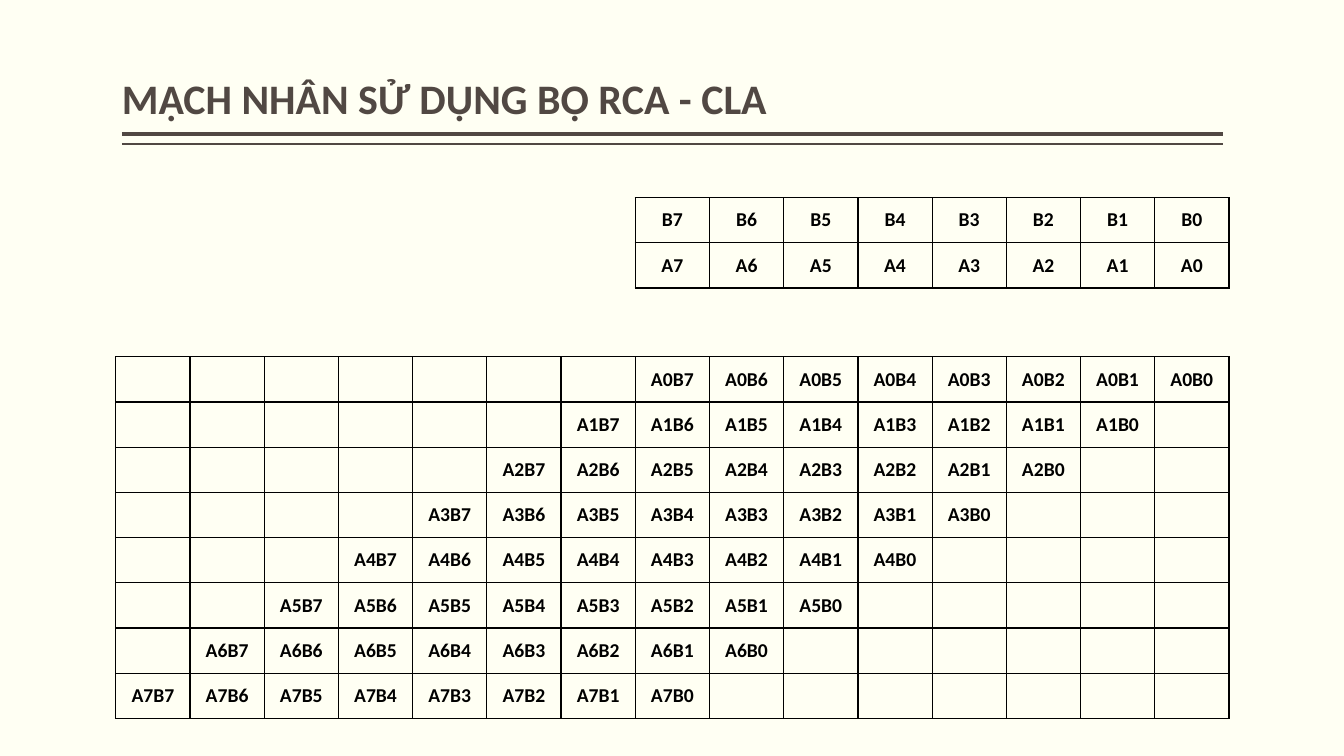
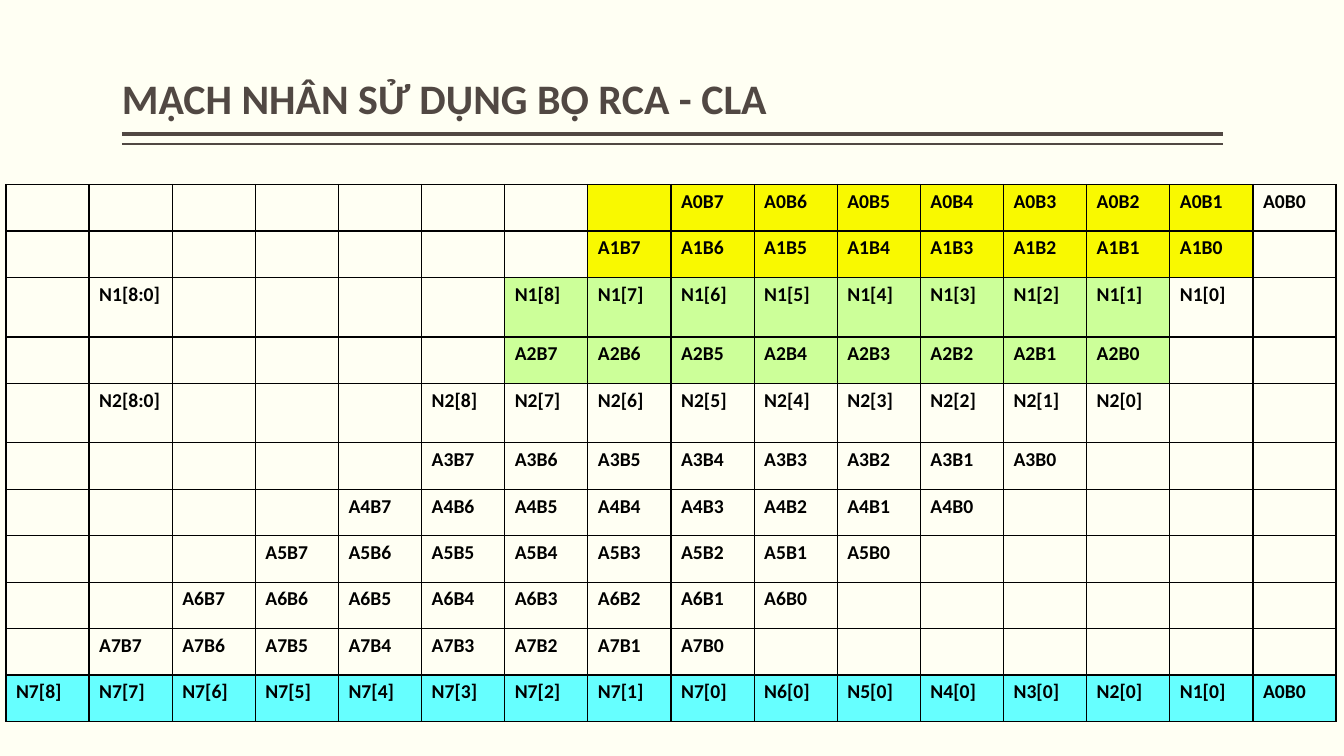
"""Build two slides on an array multiplier made of adder rows."""
from dataclasses import dataclass

from lxml.etree import SubElement
from pptx import Presentation
from pptx.dml.color import RGBColor
from pptx.enum.shapes import MSO_CONNECTOR
from pptx.enum.text import MSO_ANCHOR, MSO_AUTO_SIZE, PP_ALIGN
from pptx.oxml.ns import qn
from pptx.util import Cm, Pt


@dataclass(frozen=True)
class Theme:
    """Colours, font and type sizes of the deck."""
    paper: str = "FFFFF3"
    brown: str = "514843"
    ink: str = "000000"
    yellow: str = "F9F900"
    green: str = "CCFF99"
    cyan: str = "66FFFF"
    font: str = "Calibri"
    title: int = 30
    cell: int = 14
    border: int = 1


class Deck:
    """Holds the theme, the file and the current slide."""

    def __init__(self, theme):
        """Start a wide deck on tinted paper."""
        self.theme = theme
        self.show = Presentation()
        self.show.slide_width, self.show.slide_height = Cm(33.87), Cm(19.05)
        self.fill(self.show.slide_master.background.fill, theme.paper)
        self.slide = None

    def fill(self, fill, color):
        """Make a fill solid."""
        fill.solid()
        fill.fore_color.rgb = RGBColor.from_string(color)

    def type(self, para, size, color):
        """Set the bold deck font on a paragraph."""
        font = para.font
        font.name, font.size, font.bold = self.theme.font, Pt(size), True
        font.color.rgb = RGBColor.from_string(color)

    def page(self, text):
        """Add a slide with its double rule and title."""
        self.slide = self.show.slides.add_slide(self.show.slide_layouts[5])
        self.rule(3.38, 3)
        self.rule(3.63, 1)
        self.title(text)

    def rule(self, top, width):
        """Draw a level line under the title."""
        line = self.slide.shapes.add_connector(
            MSO_CONNECTOR.STRAIGHT, Cm(3.07), Cm(top), Cm(30.81), Cm(top))
        line.line.width = Pt(width)
        line.line.color.rgb = RGBColor.from_string(self.theme.brown)
        SubElement(line._element.spPr, qn("a:effectLst"))

    def title(self, text):
        """Place and fill the title."""
        box = self.slide.shapes.title
        box.left, box.top = Cm(3.07), Cm(0.2)
        box.width, box.height = Cm(27.74), Cm(3.05)
        frame = box.text_frame
        frame.text = text
        frame.word_wrap = True
        frame.auto_size = MSO_AUTO_SIZE.NONE
        frame.vertical_anchor = MSO_ANCHOR.BOTTOM
        frame.margin_left = frame.margin_right = 0
        para = frame.paragraphs[0]
        para.alignment, para.line_spacing = PP_ALIGN.LEFT, 0.9
        self.type(para, self.theme.title, self.theme.brown)

    def grid(self, data, left, top, width, highs,
             align=PP_ALIGN.LEFT, anchor=MSO_ANCHOR.TOP):
        """Add a ruled table with equal columns."""
        count = len(data[0])
        table = self.slide.shapes.add_table(
            len(data), count, Cm(left), Cm(top), Cm(width), Cm(sum(highs))).table
        table.first_row = table.horz_banding = False
        for col in table.columns:
            col.width = Cm(width / count)
        for row, high, texts in zip(table.rows, highs, data):
            row.height = Cm(high)
            for cell, text in zip(row.cells, texts):
                cell.text = text
                cell.vertical_anchor = anchor
                para = cell.text_frame.paragraphs[0]
                para.alignment = align
                self.type(para, self.theme.cell, self.theme.ink)
                self.frame(cell)
                cell.fill.background()
        return table

    def frame(self, cell):
        """Line all four sides of a cell."""
        props = cell._tc.get_or_add_tcPr()
        for side in ("lnL", "lnR", "lnT", "lnB"):
            line = SubElement(props, qn(f"a:{side}"), w=str(Pt(self.theme.border)))
            solid = SubElement(line, qn("a:solidFill"))
            SubElement(solid, qn("a:srgbClr"), val=self.theme.ink)

    def paint(self, table, rows, cols, color):
        """Colour a block of cells."""
        for row in rows:
            for col in cols:
                self.fill(table.cell(row, col).fill, color)


def terms(row):
    """List the partial products of one row."""
    return [f"A{row}B{bit}" for bit in range(7, -1, -1)]


def sums(row):
    """List the sum bits of one adder."""
    return [f"N{row}[{bit}]" for bit in range(8, -1, -1)]


def shift(texts, count, step):
    """Pad a row to count cells, with step blanks at its right."""
    return [""] * (count - len(texts) - step) + texts + [""] * step


def tagged(row):
    """Give a row of sum bits with its bus name in front."""
    cells = shift(sums(row), 16, row)
    cells[1] = f"N{row}[8:0]"
    return cells


def main():
    """Build and save the deck."""
    theme = Theme()
    deck = Deck(theme)
    head = "MẠCH NHÂN SỬ DỤNG BỘ RCA - CLA"

    deck.page(head)
    mid = {"align": PP_ALIGN.CENTER, "anchor": MSO_ANCHOR.MIDDLE}
    deck.grid([shift(terms(row), 15, row) for row in range(8)],
              2.92, 8.99, 28.05, [1.14] * 8, **mid)
    deck.grid([[f"{name}{bit}" for bit in range(7, -1, -1)] for name in "BA"],
              16.01, 4.98, 14.96, [1.14] * 2, **mid)

    deck.page(head)
    data = [shift(terms(row), 16, row) for row in range(8)]
    data.insert(2, tagged(1))
    data.insert(4, tagged(2))
    data.append(sums(7) + [f"N{row}[0]" for row in range(6, 0, -1)] + ["A0B0"])
    highs = [1.5 if row in (2, 4) else 1.17 for row in range(len(data))]
    table = deck.grid(data, 0.15, 4.65, 33.53, highs)
    deck.paint(table, range(2), range(7, 15), theme.yellow)
    deck.paint(table, range(2, 4), range(6, 14), theme.green)
    deck.paint(table, [10], range(16), theme.cyan)

    deck.show.save("out.pptx")


if __name__ == "__main__":
    main()
